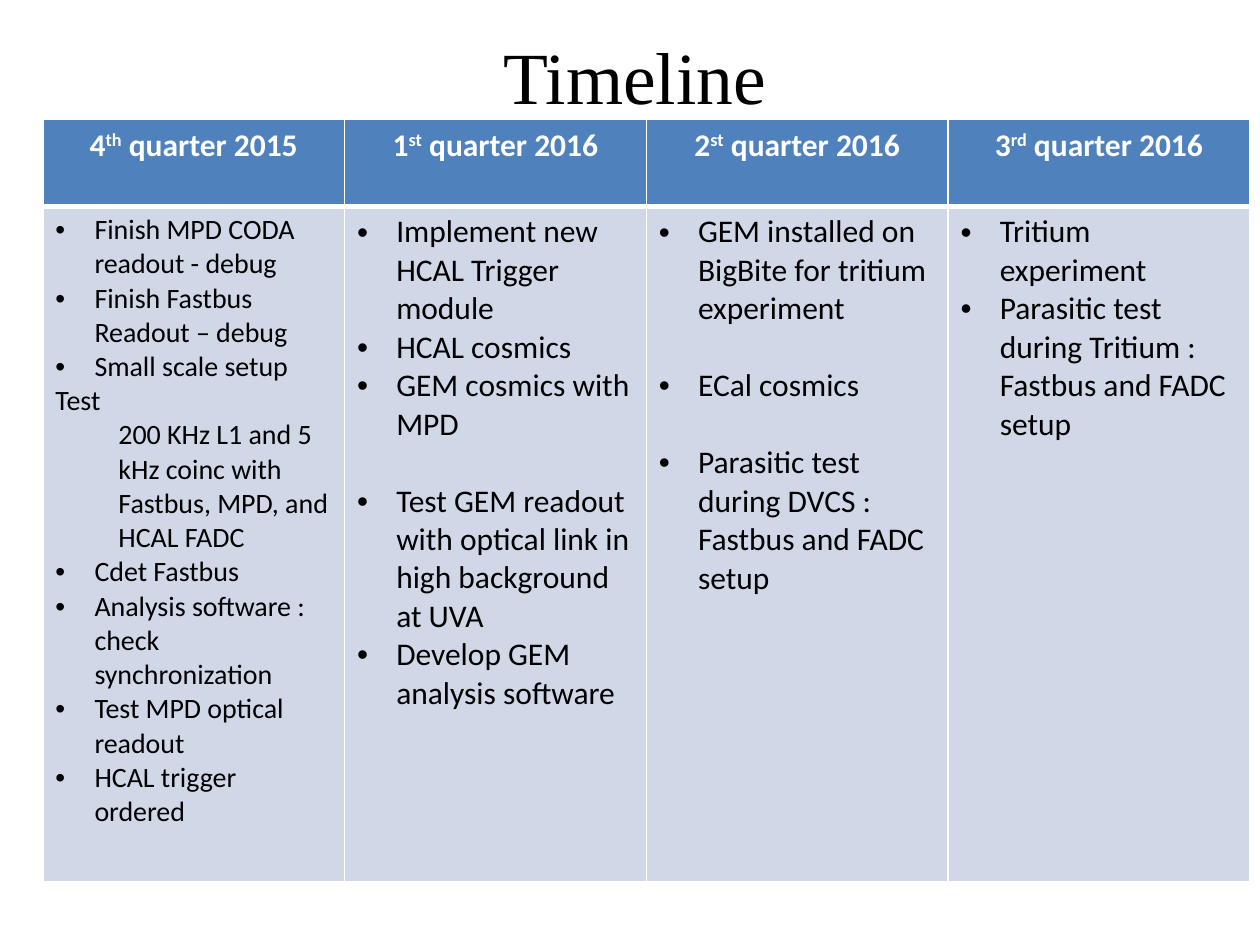
from dataclasses import dataclass

from lxml.etree import SubElement
from pptx import Presentation
from pptx.dml.color import RGBColor
from pptx.enum.text import MSO_ANCHOR, PP_ALIGN
from pptx.oxml.ns import qn
from pptx.util import Inches, Pt

WHITE, BLACK, BLUE, PALE = "FFFFFF", "000000", "4F81BD", "D0D8E8"
BLANK_LINE = 22  # points, one line of 18 point text


@dataclass
class Item:
    text: str
    bullet: bool = True
    margin: float = 0.31
    gap: float = 0


@dataclass
class Quarter:
    number: str
    ordinal: str
    year: str
    size: int
    items: list[Item]


QUARTERS = [
    Quarter("4", "th", "2015", 16, [
        Item("Finish MPD CODA readout - debug"),
        Item("Finish Fastbus Readout – debug"),
        Item("Small scale setup"),
        Item("Test", bullet=False, margin=0),
        Item("200 KHz L1 and 5 kHz coinc with Fastbus, MPD, and HCAL FADC",
             bullet=False, margin=0.5),
        Item("Cdet Fastbus"),
        Item("Analysis software : check synchronization"),
        Item("Test MPD optical readout"),
        Item("HCAL trigger ordered"),
    ]),
    Quarter("1", "st", "2016", 18, [
        Item("Implement new HCAL Trigger module"),
        Item("HCAL cosmics"),
        Item("GEM cosmics with MPD"),
        Item("Test GEM readout with optical link in high background at UVA",
             gap=BLANK_LINE),
        Item("Develop GEM analysis software"),
    ]),
    Quarter("2", "st", "2016", 18, [
        Item("GEM installed on BigBite for tritium experiment"),
        Item("ECal cosmics", gap=BLANK_LINE),
        Item("Parasitic test during DVCS : Fastbus and FADC setup", gap=BLANK_LINE),
    ]),
    Quarter("3", "rd", "2016", 18, [
        Item("Tritium experiment"),
        Item("Parasitic test during Tritium : Fastbus and FADC setup"),
    ]),
]


def color(value: str) -> RGBColor:
    return RGBColor.from_string(value)


def format_span(span, size: float, value: str, name: str = "Calibri", bold: bool = False) -> None:
    span.font.size = Pt(size)
    span.font.name = name
    span.font.bold = bold
    span.font.color.rgb = color(value)


def style_cell(cell, fill: str, top: float, bottom: float) -> None:
    """Give a cell white borders, then its fill."""
    properties = cell._tc.get_or_add_tcPr()
    for side, width in (("L", 1), ("R", 1), ("T", top), ("B", bottom)):
        line = SubElement(properties, qn(f"a:ln{side}"), w=str(Pt(width)))
        solid = SubElement(line, qn("a:solidFill"))
        SubElement(solid, qn("a:srgbClr"), val=WHITE)
    cell.fill.solid()
    cell.fill.fore_color.rgb = color(fill)


def fill_header(cell, quarter: Quarter) -> None:
    para = cell.text_frame.paragraphs[0]
    para.alignment = PP_ALIGN.CENTER
    for text in (quarter.number, quarter.ordinal, f" quarter {quarter.year}"):
        span = para.add_run()
        span.text = text
        format_span(span, 18, WHITE, bold=True)
    para.runs[1]._r.get_or_add_rPr().set("baseline", "30000")
    style_cell(cell, BLUE, top=1, bottom=3)


def fill_body(cell, quarter: Quarter) -> None:
    cell.text_frame.text = "\n".join(item.text for item in quarter.items)
    for para, item in zip(cell.text_frame.paragraphs, quarter.items):
        format_span(para.runs[0], quarter.size, BLACK)
        if item.gap:
            para.space_before = Pt(item.gap)
        properties = para._p.get_or_add_pPr()
        properties.set("marL", str(Inches(item.margin)))
        properties.set("indent", str(-Inches(item.margin) if item.bullet else 0))
        if item.bullet:
            SubElement(properties, qn("a:buFont"), typeface="Arial")
            SubElement(properties, qn("a:buChar"), char="•")
    style_cell(cell, PALE, top=3, bottom=1)


def add_title(page, text: str) -> None:
    box = page.shapes.add_textbox(Inches(0.54), Inches(-0.03), Inches(9), Inches(1.25))
    frame = box.text_frame
    frame.word_wrap = True
    frame.vertical_anchor = MSO_ANCHOR.MIDDLE
    frame.text = text
    para = frame.paragraphs[0]
    para.alignment = PP_ALIGN.CENTER
    format_span(para.runs[0], 42, BLACK, "Times New Roman")


def add_timeline(page, quarters: list[Quarter]) -> None:
    width, heights = 9.58, (0.69, 5.36)
    table = page.shapes.add_table(
        len(heights), len(quarters), Inches(0.34), Inches(0.95),
        Inches(width), Inches(sum(heights))).table
    table.horz_banding = False
    for row, height in zip(table.rows, heights):
        row.height = Inches(height)
    for index, quarter in enumerate(quarters):
        table.columns[index].width = Inches(width / len(quarters))
        fill_header(table.cell(0, index), quarter)
        fill_body(table.cell(1, index), quarter)


def main() -> None:
    deck = Presentation()
    deck.slide_width, deck.slide_height = Inches(10), Inches(7.5)
    page = deck.slides.add_slide(deck.slide_layouts[6])
    # Title
    add_title(page, "Timeline")
    # One column per quarter
    add_timeline(page, QUARTERS)
    deck.save("out.pptx")


if __name__ == "__main__":
    main()
